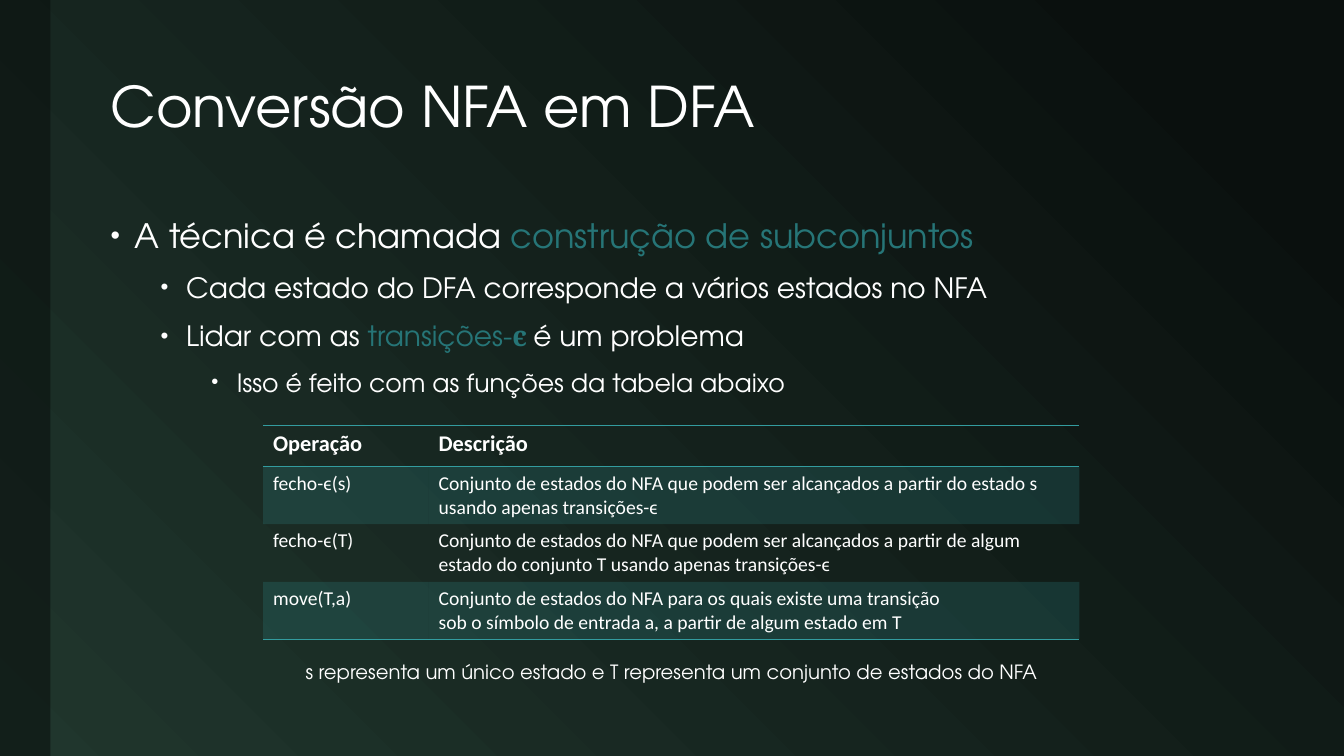
from lxml import etree
from pptx import Presentation
from pptx.dml.color import RGBColor
from pptx.enum.shapes import MSO_SHAPE
from pptx.enum.text import MSO_ANCHOR, PP_ALIGN
from pptx.oxml.ns import qn
from pptx.util import Cm, Pt

RECT = MSO_SHAPE.RECTANGLE
MIDDLE = MSO_ANCHOR.MIDDLE
CENTER = PP_ALIGN.CENTER

WHITE, DARK, GREEN = "FFFFFF", "0A100E", "20362D"
TEAL, ACCENT = "339C9F", "267577"
SANS = "TeX Gyre Adventor"

LEVELS = [
    {"size": 24, "left": 0.61, "hang": 0.61, "before": 18},
    {"size": 20, "left": 1.9, "hang": 0.64, "before": 6},
    {"size": 18, "left": 3.18, "hang": 0.64, "before": 6},
]
MARK = {"color": ACCENT}
BULLETS = [
    (0, [("A técnica é chamada ", {}), ("construção de subconjuntos", MARK)]),
    (1, [("Cada estado do DFA corresponde a vários estados no NFA", {})]),
    (1, [("Lidar com as ", {}), ("transições-", MARK),
         ("ϵ ", {"color": ACCENT, "name": "Cambria", "bold": True}),
         ("é um problema", {})]),
    (2, [("Isso é feito com as funções da tabela abaixo", {})]),
]
ROWS = [
    ("Operação", "Descrição"),
    ("fecho-ϵ(s)", "Conjunto de estados do NFA que podem ser alcançados "
     "a partir do estado s usando apenas transições-ϵ"),
    ("fecho-ϵ(T)", "Conjunto de estados do NFA que podem ser alcançados "
     "a partir de algum estado do conjunto T usando apenas transições-ϵ"),
    ("move(T,a)", "Conjunto de estados do NFA para os quais existe uma transição \v"
     "sob o símbolo de entrada a, a partir de algum estado em T"),
]
RULES = (0, 1, len(ROWS))


def rgb(code):
    return RGBColor.from_string(code)


def style(run, size, color=WHITE, name=SANS, bold=False):
    form = {"size": Pt(size), "name": name, "bold": bold}
    for key, value in form.items():
        setattr(run.font, key, value)
    run.font.color.rgb = rgb(color)


def paint(fill, props, color, alpha):
    fill.solid()
    fill.fore_color.rgb = rgb(color)
    tone = props.find(qn("a:solidFill"))[0]
    etree.SubElement(tone, qn("a:alpha"), val=str(alpha * 1000))


def add_back(slide):
    fill = slide.background.fill
    fill.gradient()
    fill.gradient_angle = 225
    for stop, place, color in zip(fill.gradient_stops, (0.1, 1), (DARK, GREEN)):
        stop.position = place
        stop.color.rgb = rgb(color)


def add_bar(slide):
    bar = slide.shapes.add_shape(RECT, 0, 0, Cm(1.27), Cm(19.05))
    bar.shadow.inherit = False
    paint(bar.fill, bar._element.spPr, DARK, 60)
    bar.line.fill.background()


def add_box(slide, left, top, width, height):
    box = slide.shapes.add_textbox(Cm(left), Cm(top), Cm(width), Cm(height))
    box.text_frame.word_wrap = True
    return box.text_frame


def add_line(frame, text, size, **form):
    para = frame.paragraphs[0]
    for key, value in form.items():
        setattr(para, key, value)
    run = para.add_run()
    run.text = text
    style(run, size)


def add_list(frame):
    for pos, (level, parts) in enumerate(BULLETS):
        para = frame.add_paragraph() if pos else frame.paragraphs[0]
        look = LEVELS[level]
        props = para._p.get_or_add_pPr()
        props.set("marL", str(Cm(look["left"])))
        props.set("indent", str(-Cm(look["hang"])))
        etree.SubElement(props, qn("a:buSzPct"), val="80000")
        etree.SubElement(props, qn("a:buFont"), typeface="Arial")
        etree.SubElement(props, qn("a:buChar"), char="•")
        para.level = level
        para.line_spacing = 1.2
        para.space_before = Pt(look["before"] if pos else 0)
        for text, form in parts:
            run = para.add_run()
            run.text = text
            style(run, look["size"], **form)


def add_edge(props, side, drawn):
    edge = etree.SubElement(props, qn("a:ln" + side), w=str(Pt(1)))
    if drawn:
        fill = etree.SubElement(edge, qn("a:solidFill"))
        etree.SubElement(fill, qn("a:srgbClr"), val=TEAL)
    else:
        etree.SubElement(edge, qn("a:noFill"))


def fill_cell(cell, row, text):
    props = cell._tc.get_or_add_tcPr()
    edges = {"L": False, "R": False, "T": row in RULES, "B": row + 1 in RULES}
    for side, drawn in edges.items():
        add_edge(props, side, drawn)
    if row % 2:
        paint(cell.fill, props, TEAL, 20)
    else:
        cell.fill.background()
    para = cell.text_frame.paragraphs[0]
    para.text = text
    for run in para.runs:
        style(run, 14 if row else 16, name="Calibri", bold=row == 0)


def add_grid(slide):
    frame = slide.shapes.add_table(
        len(ROWS), 2, Cm(6.63), Cm(10.72), Cm(20.57), Cm(5.39))
    table = frame.table
    table.first_row = table.horz_banding = False
    for col, width in zip(table.columns, (4.17, 16.4)):
        col.width = Cm(width)
    for row, texts in enumerate(ROWS):
        table.rows[row].height = Cm(1.45 if row else 1.04)
        for col, text in enumerate(texts):
            fill_cell(table.cell(row, col), row, text)


def main():
    deck = Presentation()
    deck.slide_width, deck.slide_height = Cm(33.87), Cm(19.05)
    slide = deck.slides.add_slide(deck.slide_layouts[6])
    add_back(slide)
    add_bar(slide)
    title = add_box(slide, 2.54, 1.07, 29.59, 3.38)
    title.vertical_anchor = MIDDLE
    add_line(title, "Conversão NFA em DFA", 40, line_spacing=0.9)
    add_list(add_box(slide, 2.54, 5.08, 29.59, 12.27))
    add_grid(slide)
    note = add_box(slide, 7.24, 16.51, 19.38, 0.86)
    add_line(note, "s representa um único estado e T representa um conjunto "
             "de estados do NFA", 14, alignment=CENTER)
    deck.save("out.pptx")


if __name__ == "__main__":
    main()
